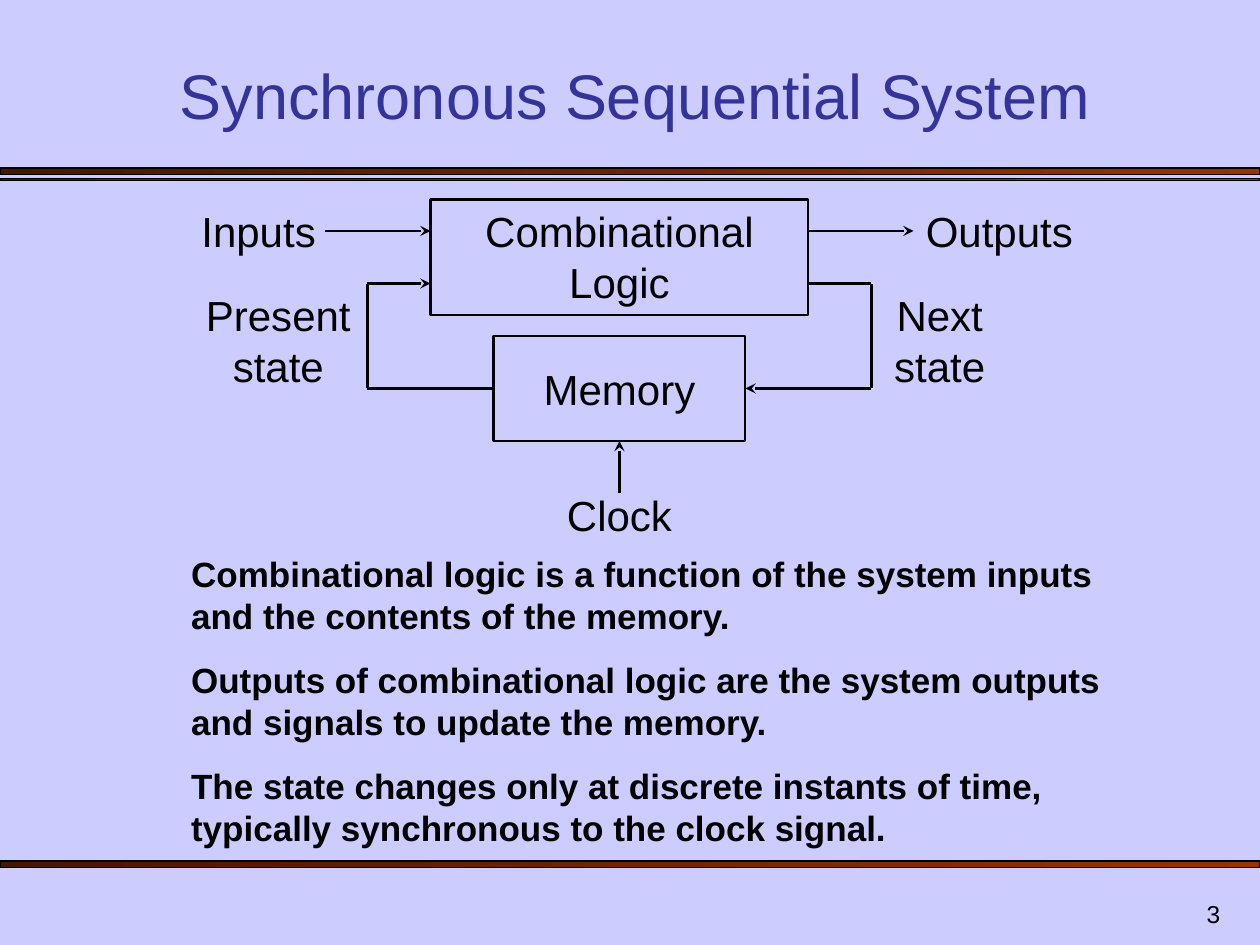
from pptx import Presentation
from pptx import util as u
from pptx.dml.color import RGBColor
from pptx.enum import shapes, text
from pptx.oxml.ns import qn
from lxml import etree

COLUMNS, ROWS = 120, 90
INK, TITLE_INK, PAPER = "000000", "333399", "CCCCFF"
BAR_COLORS = ("461700", "993300")
LEFT, CENTER, RIGHT = text.PP_ALIGN.LEFT, text.PP_ALIGN.CENTER, text.PP_ALIGN.RIGHT
TOP, BOTTOM = text.MSO_ANCHOR.TOP, text.MSO_ANCHOR.BOTTOM

TITLE = "Synchronous Sequential System"
STATEMENTS = [
    "Combinational logic is a function of the system inputs and the contents of the memory.",
    "Outputs of combinational logic are the system outputs and signals to update the memory.",
    "The state changes only at discrete instants of time, typically synchronous to the clock signal.",
]
PAGE_NUMBER = "3"

BARS = [(0, 16, 120, 0.6), (0, 17, 120, 0.2), (0, 82, 120, 0.6)]
BLOCKS = {"logic": (41, 19, 36, 11), "memory": (47, 32, 24, 10)}
LABELS = [
    ("Combinational Logic", (44, 19, 30, 10.8), CENTER),
    ("Memory", (47, 34, 24, 6), CENTER),
    ("Inputs", (18, 19, 15, 6), LEFT),
    ("Outputs", (87, 19, 18, 6), LEFT),
    ("Next\nstate", (83, 27, 13, 10.8), CENTER),
    ("Present\nstate", (16, 27, 21, 10.8), CENTER),
    ("Clock", (50, 46, 18, 6), CENTER),
]
WIRES = [
    {"points": (31, 22, 41, 22), "arrow": True},
    {"points": (35, 27, 41, 27), "arrow": True},
    {"points": (47, 37, 35, 37), "begin": ("memory", 1)},
    {"points": (35, 37, 35, 27)},
    {"points": (77, 27, 83, 27)},
    {"points": (83, 27, 83, 37)},
    {"points": (83, 37, 71, 37), "end": ("memory", 3), "arrow": True},
    {"points": (77, 22, 87, 22), "arrow": True},
    {"points": (59, 47, 59, 42), "end": ("memory", 2), "arrow": True},
]

presentation = Presentation()
presentation.slide_width, presentation.slide_height = u.Inches(10), u.Inches(7.5)
slide = presentation.slides.add_slide(presentation.slide_layouts[1])


def color(value):
    return RGBColor.from_string(value)


def place(cells):
    units = (presentation.slide_width / COLUMNS, presentation.slide_height / ROWS)
    return [round(cell * units[i % 2]) for i, cell in enumerate(cells)]


def set_line(shape, width):
    shape.line.color.rgb = color(INK)
    shape.line.width = u.Pt(width)


def add_rectangle(cells, width):
    shape = slide.shapes.add_shape(shapes.MSO_SHAPE.RECTANGLE, *place(cells))
    shape.shadow.inherit = False
    set_line(shape, width)
    return shape


def write(shape, lines, size, align=LEFT, anchor=TOP, ink=INK, bold=False, before=0):
    frame = shape.text_frame
    settings = {"word_wrap": True, "auto_size": text.MSO_AUTO_SIZE.NONE, "vertical_anchor": anchor}
    for name, value in settings.items():
        setattr(frame, name, value)
    for i, line in enumerate(lines):
        paragraph = frame.add_paragraph() if i else frame.paragraphs[0]
        paragraph.text = line
        paragraph.alignment = align
        paragraph.space_before = u.Pt(before)
        for run in paragraph.runs:
            for name, value in {"name": "Arial", "size": u.Pt(size), "bold": bold}.items():
                setattr(run.font, name, value)
            run.font.color.rgb = color(ink)


def move(shape, cells):
    for name, value in zip(("left", "top", "width", "height"), place(cells)):
        setattr(shape, name, value)
    return shape


def add_wire(points, blocks, begin=None, end=None, arrow=False):
    connector = slide.shapes.add_connector(shapes.MSO_CONNECTOR.STRAIGHT, *place(points))
    set_line(connector, 1.25)
    if begin:
        connector.begin_connect(blocks[begin[0]], begin[1])
    if end:
        connector.end_connect(blocks[end[0]], end[1])
    if arrow:
        etree.SubElement(connector.line._get_or_add_ln(), qn("a:tailEnd"), type="stealth")
    etree.SubElement(connector._element.spPr, qn("a:effectLst"))


slide.background.fill.solid()
slide.background.fill.fore_color.rgb = color(PAPER)

for cells in BARS:
    bar = add_rectangle(cells, 0.75)
    bar.fill.gradient()
    bar.fill.gradient_angle = 0
    for stop, value in zip(bar.fill.gradient_stops, BAR_COLORS):
        stop.color.rgb = color(value)

title, body = slide.placeholders
write(move(title, (7, 5, 107, 8.2)), [TITLE], 36, CENTER, BOTTOM, TITLE_INK)

blocks = {}
for name, cells in BLOCKS.items():
    blocks[name] = add_rectangle(cells, 1.25)
    blocks[name].fill.background()

for label, cells, align in LABELS:
    write(slide.shapes.add_textbox(*place(cells)), [label], 24, align, before=15)

for wire in WIRES:
    add_wire(blocks=blocks, **wire)

write(move(body, (17, 52, 90, 29.4)), STATEMENTS, 20, bold=True, before=12.5)
for paragraph in body.text_frame.paragraphs:
    properties = paragraph._p.get_or_add_pPr()
    properties.set("marL", "0")
    properties.set("indent", "0")
    etree.SubElement(properties, qn("a:buNone"))

number = slide.shapes.add_textbox(*place((92.4, 84, 25, 5)))
write(number, [PAGE_NUMBER], 14, RIGHT, BOTTOM)

presentation.save("out.pptx")
